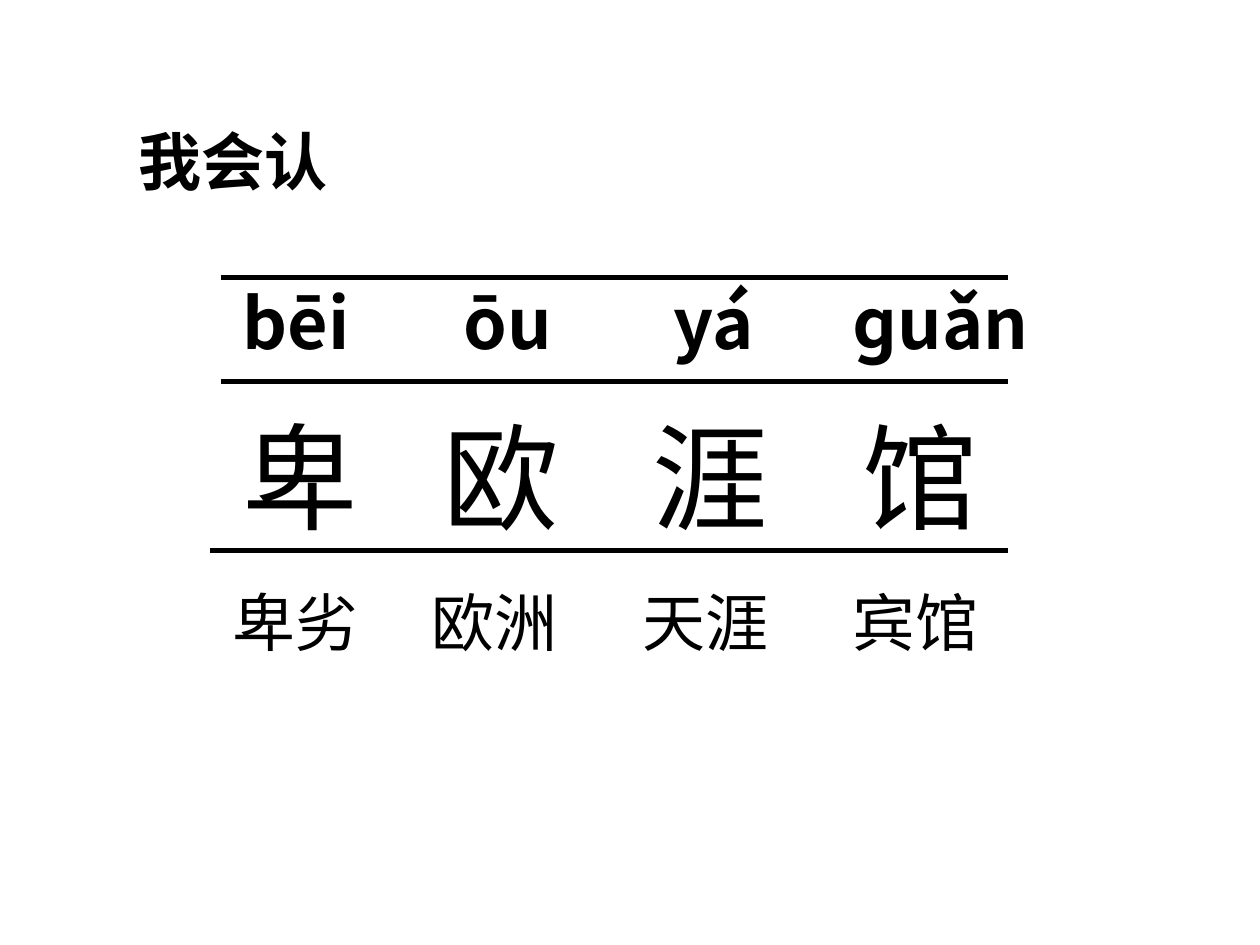
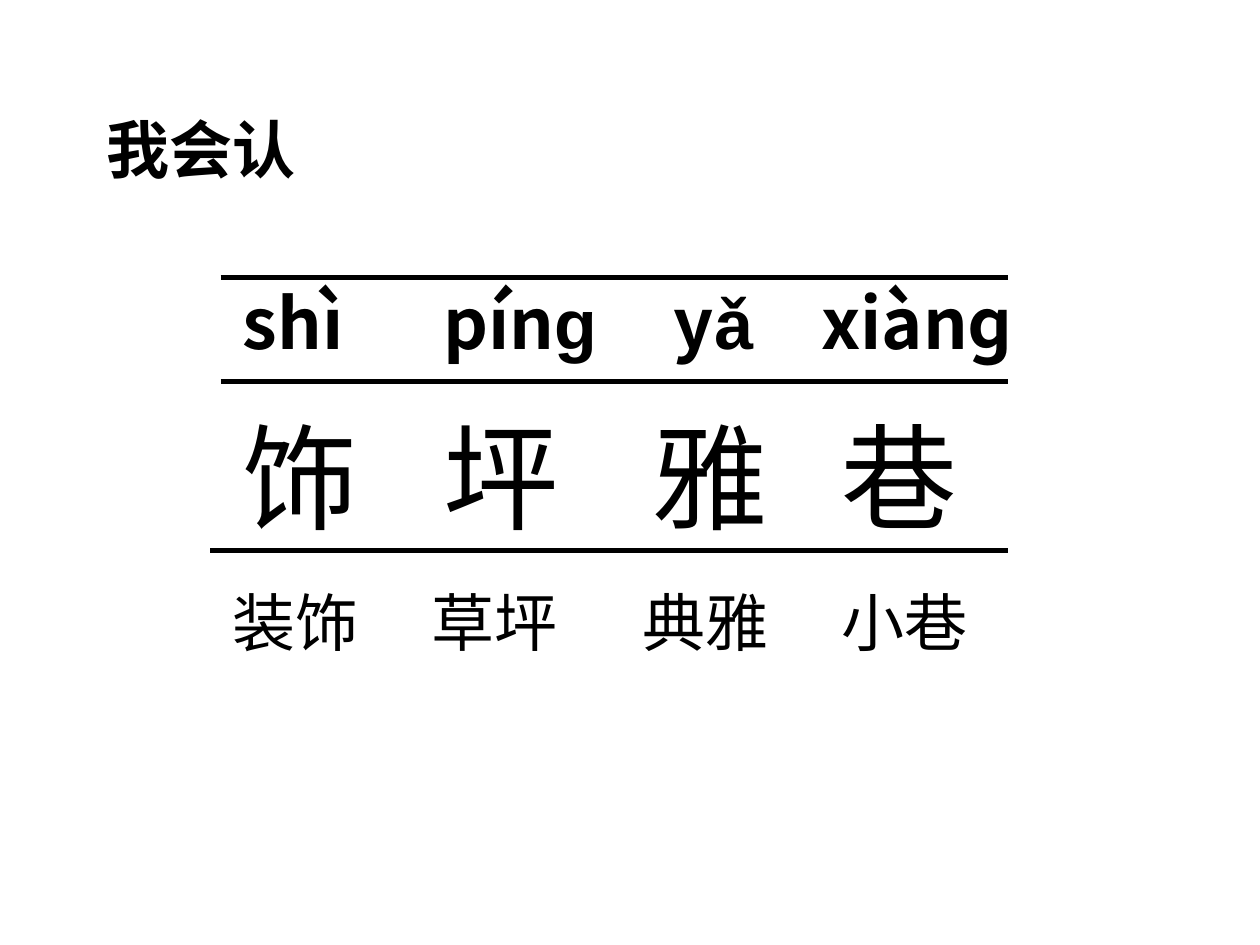
from collections import namedtuple

from lxml.etree import SubElement
from pptx import Presentation
from pptx.dml.color import RGBColor
from pptx.enum.shapes import MSO_CONNECTOR as Connector
from pptx.enum.text import MSO_AUTO_SIZE as AutoSize
from pptx.oxml.ns import qn
from pptx.util import Inches, Pt

INK = "000000"
PAPER = "FFFFFF"
CJK = "Noto Sans CJK SC"
LATIN = "Arial"

Box = namedtuple("Box", "left top width height")
Style = namedtuple("Style", "size font bold")
Entry = namedtuple("Entry", "pinyin character word pinyin_x character_x word_x")
Lesson = namedtuple("Lesson", "title_box board_box font entries")

TITLE = "我会认"
TITLE_STYLE = Style(36, LATIN, True)
PINYIN_STYLE = Style(40, CJK, True)
RULES = [(0.08, 0.86), (0.08, 0.03), (0, 2.2)]

BOARD = Box(1.67, 2.17, 6.33, 3.11)
LESSONS = [
    Lesson(Box(1, 0.92, 2.83, 0.7), BOARD, CJK, [
        Entry([("bēi", CJK)], "卑", "卑劣", 0.16, 0.16, 0.08),
        Entry([("ōu", CJK)], "欧", "欧洲", 1.91, 1.75, 1.66),
        Entry([("yá", CJK)], "涯", "天涯", 3.58, 3.41, 3.33),
        Entry([("ɡuǎn", CJK)], "馆", "宾馆", 5, 5.08, 5),
    ]),
    Lesson(Box(0.75, 0.83, 2.83, 0.7), BOARD, LATIN, [
        Entry([("shì", CJK)], "饰", "装饰", 0.16, 0.16, 0.08),
        Entry([("pín", CJK), ("ɡ", LATIN)], "坪", "草坪", 1.75, 1.75, 1.66),
        Entry([("y", CJK), ("ǎ", LATIN)], "雅", "典雅", 3.58, 3.41, 3.33),
        Entry([("xiànɡ", CJK)], "巷", "小巷", 4.75, 4.91, 4.91),
    ]),
]


def color(hex_code):
    """Turn a hex string into a colour."""
    return RGBColor.from_string(hex_code)


def add_text(slide, box, pieces, style):
    """Write (text, font) pieces as one line in a box."""
    label = slide.shapes.add_textbox(*(Inches(length) for length in box))
    frame = label.text_frame
    frame.word_wrap = True
    frame.auto_size = AutoSize.SHAPE_TO_FIT_TEXT
    for text, font_name in pieces:
        run = frame.paragraphs[0].add_run()
        run.text = text
        run.font.size = Pt(style.size)
        run.font.bold = style.bold
        run.font.color.rgb = color(INK)
        run.font.name = font_name
        SubElement(run.font._element, qn("a:ea"), typeface=CJK)


def add_rule(slide, left, right, y):
    """Draw a horizontal rule."""
    rule = slide.shapes.add_connector(
        Connector.STRAIGHT, Inches(left), Inches(y), Inches(right), Inches(y))
    rule.line.color.rgb = color(INK)
    rule.line.width = Pt(3)
    SubElement(rule._element.spPr, qn("a:effectLst"))


def add_board(slide, box, entries, font):
    """Lay out characters, words and pinyin between the rules."""
    character_style = Style(66, font, False)
    word_style = Style(36, font, False)
    for entry in entries:
        add_text(slide, Box(box.left + entry.character_x, box.top + 1, 1.42, 1.2),
                 [(entry.character, font)], character_style)
    for entry in entries:
        add_text(slide, Box(box.left + entry.word_x, box.top + 2.41, 1.25, 0.7),
                 [(entry.word, font)], word_style)
    for index, entry in enumerate(entries):
        width = 2.08 if index else 1.17
        add_text(slide, Box(box.left + entry.pinyin_x, box.top, width, 0.77),
                 entry.pinyin, PINYIN_STYLE)
    for inset, offset in RULES:
        add_rule(slide, box.left + inset, box.left + box.width, box.top + offset)


def add_lesson(deck, lesson):
    """Add one recognition slide."""
    slide = deck.slides.add_slide(deck.slide_layouts[6])
    slide.background.fill.solid()
    slide.background.fill.fore_color.rgb = color(PAPER)
    add_board(slide, lesson.board_box, lesson.entries, lesson.font)
    add_text(slide, lesson.title_box, [(TITLE, TITLE_STYLE.font)], TITLE_STYLE)


def main():
    """Build and save the deck."""
    deck = Presentation()
    deck.slide_width, deck.slide_height = Inches(10), Inches(7.5)
    for lesson in LESSONS:
        add_lesson(deck, lesson)
    deck.save("out.pptx")


if __name__ == "__main__":
    main()
